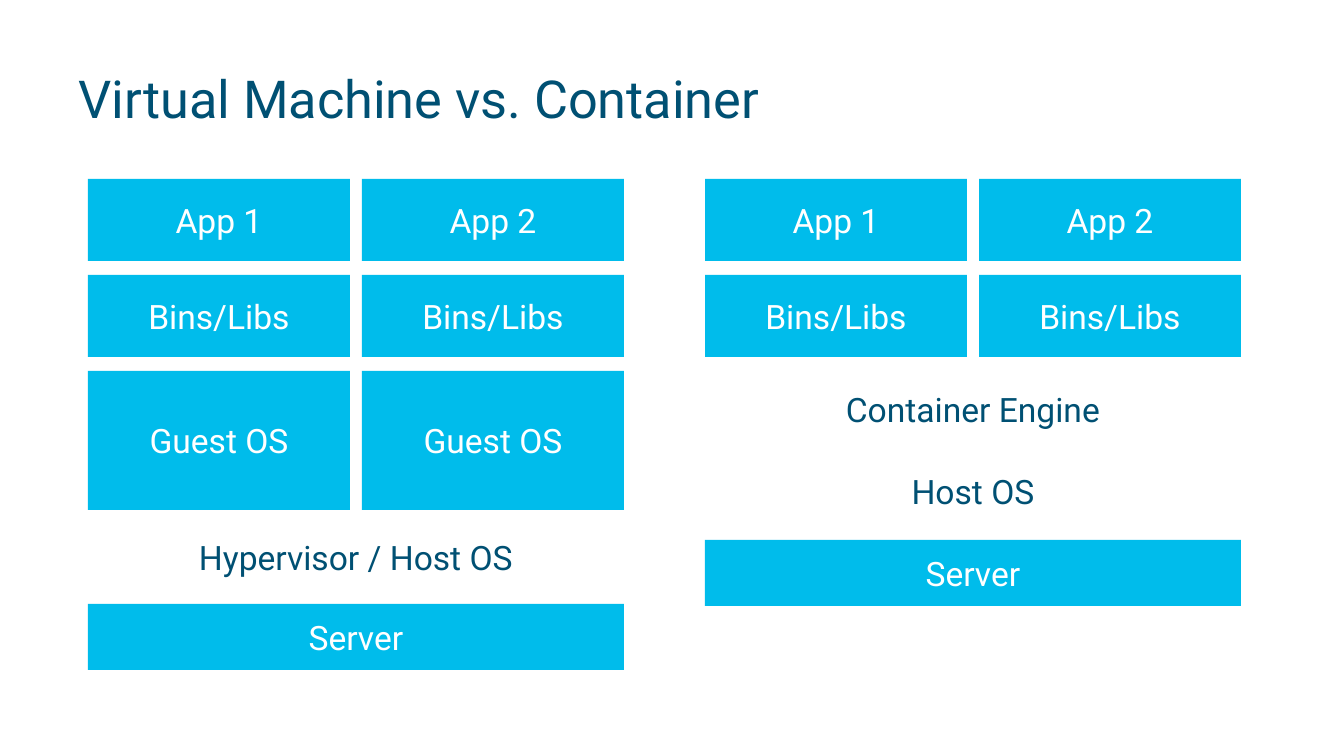
"""Build a slide that compares the layers of a virtual machine and a container."""

from pptx import Presentation
from pptx.dml.color import RGBColor
from pptx.enum.shapes import MSO_SHAPE
from pptx.enum.text import MSO_ANCHOR, MSO_AUTO_SIZE, PP_ALIGN
from pptx.util import Emu, Pt

SLIDE_WIDTH, SLIDE_HEIGHT = 1344, 756
EMU_PER_PX = 9144000 / SLIDE_WIDTH
NAVY = RGBColor(0x00, 0x50, 0x73)
CYAN = RGBColor(0x00, 0xBC, 0xEB)
WHITE = RGBColor(0xFF, 0xFF, 0xFF)
FONT = "Roboto"

STACK_TOP, STACK_WIDTH, COLUMN_GAP = 179, 536, 12
APP_HEIGHT, GUEST_HEIGHT, HOST_HEIGHT = 82, 139, 66

APPS = (0, APP_HEIGHT, CYAN, ["App 1", "App 2"])
LIBRARIES = (14, APP_HEIGHT, CYAN, ["Bins/Libs"] * 2)
VIRTUAL_MACHINE = [
    APPS,
    LIBRARIES,
    (14, GUEST_HEIGHT, CYAN, ["Guest OS"] * 2),
    (14, HOST_HEIGHT, WHITE, ["Hypervisor / Host OS"]),
    (14, HOST_HEIGHT, CYAN, ["Server"]),
]
CONTAINER = [
    APPS,
    LIBRARIES,
    (19, HOST_HEIGHT, WHITE, ["Container Engine"]),
    (16, HOST_HEIGHT, WHITE, ["Host OS"]),
    (16, HOST_HEIGHT, CYAN, ["Server"]),
]


def px(length):
    return Emu(round(length * EMU_PER_PX))


def write(paragraph, text, size, color):
    run = paragraph.add_run()
    run.text = text
    run.font.name = FONT
    run.font.size = Pt(size)
    run.font.color.rgb = color


def set_title(slide, text):
    title = slide.shapes.title
    title.left, title.top, title.width, title.height = map(px, (65, 50, 1227, 107))
    frame = title.text_frame
    frame.auto_size = MSO_AUTO_SIZE.NONE
    frame.word_wrap = True
    frame.vertical_anchor = MSO_ANCHOR.MIDDLE
    heading = frame.paragraphs[0]
    heading.alignment = PP_ALIGN.LEFT
    heading.line_spacing = 0.8
    write(heading, text, 28, NAVY)


def add_block(stack, label, left, top, width, height, fill):
    block = stack.shapes.add_shape(MSO_SHAPE.RECTANGLE, *map(px, (left, top, width, height)))
    block.shadow.inherit = False
    block.fill.solid()
    block.fill.fore_color.rgb = fill
    block.line.fill.background()
    frame = block.text_frame
    frame.word_wrap = True
    frame.vertical_anchor = MSO_ANCHOR.MIDDLE
    paragraph = frame.paragraphs[0]
    paragraph.alignment = PP_ALIGN.CENTER
    write(paragraph, label, 18, NAVY if fill == WHITE else WHITE)


def add_stack(slide, left, layers):
    stack = slide.shapes.add_group_shape()
    top = STACK_TOP
    for gap, height, fill, labels in layers:
        top += gap
        step = (STACK_WIDTH + COLUMN_GAP) // len(labels)
        for column, label in enumerate(labels):
            add_block(stack, label, left + column * step, top, step - COLUMN_GAP, height, fill)
        top += height


def main():
    deck = Presentation()
    deck.slide_width, deck.slide_height = px(SLIDE_WIDTH), px(SLIDE_HEIGHT)
    slide = deck.slides.add_slide(deck.slide_layouts[5])
    slide.background.fill.solid()
    slide.background.fill.fore_color.rgb = WHITE
    set_title(slide, "Virtual Machine vs. Container")
    add_stack(slide, 88, VIRTUAL_MACHINE)
    add_stack(slide, 705, CONTAINER)
    deck.save("out.pptx")


if __name__ == "__main__":
    main()
